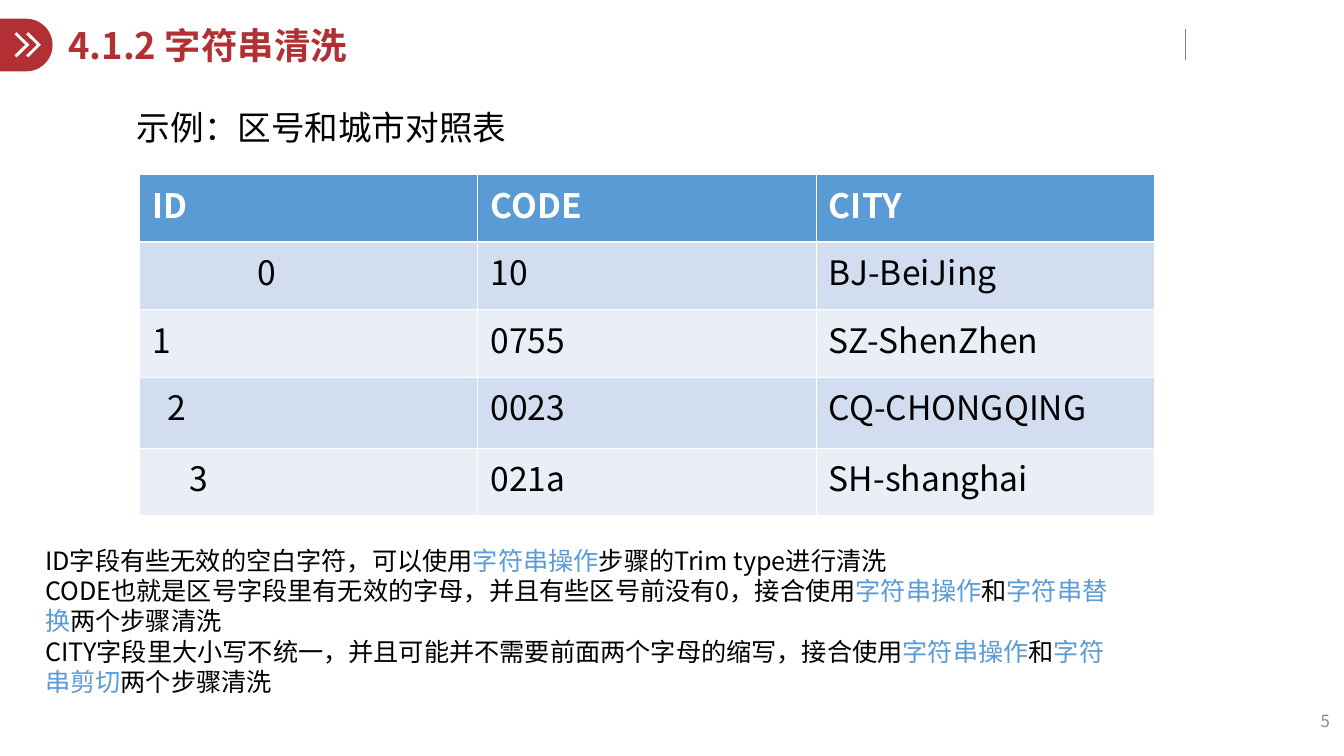
from dataclasses import dataclass

import lxml.etree
import pptx
import pptx.dml.color
import pptx.enum.shapes
import pptx.enum.text
import pptx.oxml.ns
import pptx.util

Pt = pptx.util.Pt
qn = pptx.oxml.ns.qn
SHAPE = pptx.enum.shapes.MSO_SHAPE
ALIGN = pptx.enum.text.PP_ALIGN
ANCHOR = pptx.enum.text.MSO_ANCHOR

FACE = "Noto Sans CJK SC"
RED, BLUE, BLACK, WHITE = "B22F33", "5B9BD5", "000000", "FFFFFF"
BANDS = ("D2DEEF", "EAEFF7")


@dataclass
class Run:
    text: str
    color: str = BLACK


@dataclass
class Label:
    left: float
    top: float
    width: float
    height: float
    size: float
    lines: list[list[Run]]
    bold: bool = False
    align: ALIGN = ALIGN.LEFT
    anchor: ANCHOR = ANCHOR.TOP
    pad: tuple[float, float] = (7.2, 3.6)
    space: float = 1.0


@dataclass
class Row:
    height: float
    cells: tuple[str, str, str]
    indent: float = 0


STEP = Run("字符串操作", BLUE)
AND = Run("和")
END = Run("两个步骤清洗")

LABELS = [
    Label(743.8, 500.4, 216, 28.8, 12, [[Run("5", "898989")]],
          align=ALIGN.RIGHT, anchor=ANCHOR.MIDDLE, pad=(9.4, 5)),
    Label(41.8, 14.4, 700.6, 38.9, 26, [[Run("4.1.2 字符串清洗", RED)]],
          bold=True, anchor=ANCHOR.MIDDLE, space=0.9),
    Label(25.2, 385.9, 788.4, 115.2, 18, [
        [Run("ID字段有些无效的空白字符，可以使用"), STEP,
         Run("步骤的Trim type进行清洗")],
        [Run("CODE也就是区号字段里有无效的字母，并且有些区号前没有0，接合使用"),
         STEP, AND, Run("字符串替换", BLUE), END],
        [Run("CITY字段里大小写不统一，并且可能并不需要前面两个字母的缩写，接合使用"),
         STEP, AND, Run("字符串剪切", BLUE), END],
    ]),
    Label(90.7, 72.7, 360.7, 36, 24, [[Run("示例：区号和城市对照表")]]),
]

ROWS = [
    Row(48.2, ("ID", "CODE", "CITY")),
    Row(48.2, ("0", "10", "BJ-BeiJing"), 75.3),
    Row(48.2, ("1", "0755", "SZ-ShenZhen")),
    Row(50.8, ("2", "0023", "CQ-CHONGQING"), 10.8),
    Row(48.2, ("3", "021a", "SH-shanghai"), 26.9),
]

CHEVRON = [(18.7, 24.5), (20.2, 23), (29.3, 32), (20.2, 41), (18.7, 39.5), (26.4, 32)]


def rgb(code: str) -> pptx.dml.color.RGBColor:
    return pptx.dml.color.RGBColor.from_string(code)


def paint(shape, color: str) -> None:
    shape.shadow.inherit = False
    shape.fill.solid()
    shape.fill.fore_color.rgb = rgb(color)
    shape.line.fill.background()


def write(para, item: Run, size: float, bold: bool = False) -> None:
    run = para.add_run()
    run.text = item.text
    font = run.font
    font.size, font.bold, font.name = Pt(size), bold, FACE
    font.color.rgb = rgb(item.color)
    lxml.etree.SubElement(run._r.get_or_add_rPr(), qn("a:ea"), typeface=FACE)


def add_label(slide, label: Label) -> None:
    box = slide.shapes.add_textbox(
        Pt(label.left), Pt(label.top), Pt(label.width), Pt(label.height))
    frame = box.text_frame
    frame.word_wrap = True
    frame.vertical_anchor = label.anchor
    frame.margin_left = frame.margin_right = Pt(label.pad[0])
    frame.margin_top = frame.margin_bottom = Pt(label.pad[1])
    for i, line in enumerate(label.lines):
        para = frame.add_paragraph() if i else frame.paragraphs[0]
        para.alignment = label.align
        para.line_spacing = label.space
        for item in line:
            write(para, item, label.size, label.bold)


def add_edge(cell, side: str, width: float) -> None:
    edge = lxml.etree.SubElement(
        cell._tc.get_or_add_tcPr(), qn(f"a:ln{side}"), w=str(Pt(width)))
    fill = lxml.etree.SubElement(edge, qn("a:solidFill"))
    lxml.etree.SubElement(fill, qn("a:srgbClr"), val=WHITE)


def add_grid(slide, rows: list[Row]) -> None:
    width, count = 725.4, len(rows[0].cells)
    table = slide.shapes.add_table(
        len(rows), count, Pt(99.4), Pt(124.6), Pt(width),
        Pt(sum(row.height for row in rows))).table
    for col in table.columns:
        col.width = Pt(width / count)
    for r, row in enumerate(rows):
        table.rows[r].height = Pt(row.height)
        for c, text in enumerate(row.cells):
            cell = table.cell(r, c)
            cell.margin_left = Pt(9.4 + (0 if c else row.indent))
            cell.margin_right = Pt(9.4)
            cell.margin_top = cell.margin_bottom = Pt(3.6)
            thick = {0: "B", 1: "T"}.get(r)
            for side in "LRTB":
                add_edge(cell, side, 1.47 if side == thick else 0.45)
            cell.fill.solid()
            cell.fill.fore_color.rgb = rgb(BANDS[(r - 1) % 2] if r else BLUE)
            write(cell.text_frame.paragraphs[0],
                  Run(text, BLACK if r else WHITE), 24, r == 0)


def add_frame(slide) -> None:
    """Draw the red tab with its two chevrons, and the rule at top right."""
    tab = slide.shapes.add_shape(
        SHAPE.FLOWCHART_DELAY, Pt(0), Pt(13.4), Pt(37.6), Pt(37.6))
    paint(tab, RED)
    rule = slide.shapes.add_connector(
        pptx.enum.shapes.MSO_CONNECTOR.STRAIGHT,
        Pt(847.4), Pt(20.9), Pt(847.4), Pt(43.2))
    rule.line.color.rgb = rgb("7F7F7F")
    rule.line.width = Pt(1)
    lxml.etree.SubElement(rule._element.spPr, qn("a:effectLst"))
    for shift in (0, -8.3):
        start, *rest = [(Pt(x + shift), Pt(y)) for x, y in CHEVRON]
        path = slide.shapes.build_freeform(*start)
        path.add_line_segments(rest, close=True)
        paint(path.convert_to_shape(), WHITE)


def main() -> None:
    deck = pptx.Presentation()
    deck.slide_width, deck.slide_height = Pt(960.5), Pt(540)
    slide = deck.slides.add_slide(deck.slide_layouts[6])
    add_frame(slide)
    add_grid(slide, ROWS)
    for label in LABELS:
        add_label(slide, label)
    deck.save("out.pptx")


if __name__ == "__main__":
    main()
